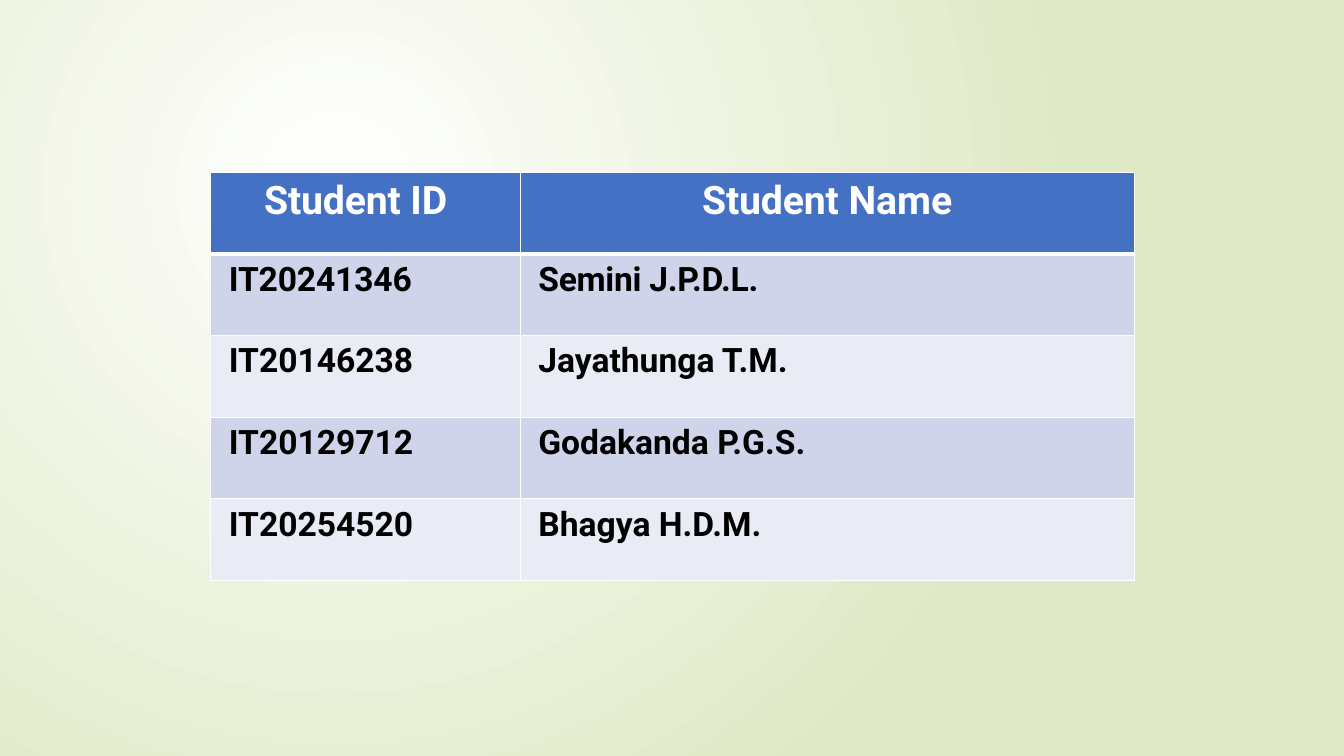
import dataclasses

import lxml.etree
import pptx
import pptx.dml.color
import pptx.enum.text
import pptx.oxml.ns
import pptx.util

COLORS = {
    "center": "FFFFFF",
    "edge": "DFE8C4",
    "border": "FFFFFF",
    "header": "4471C4",
    "odd": "CFD4EA",
    "even": "E9EBF5",
    "header_text": "FFFFFF",
    "body_text": "000000",
}
COLUMN_WIDTHS = (3.07, 6.09)
ROW_HEIGHT = 0.81
THIN, THICK = 1, 3


@dataclasses.dataclass(frozen=True)
class Run:
    text: str
    spacing: float = 0


@dataclasses.dataclass(frozen=True)
class Entry:
    runs: tuple[Run, ...]
    indent: float = 0.18
    centered: bool = False


@dataclasses.dataclass(frozen=True)
class Student:
    number: Run
    name: Run


HEADINGS = (
    Entry((Run("Student ", -0.1), Run("ID")), indent=0.53),
    Entry((Run("Student ", -0.1), Run("Name")), indent=0, centered=True),
)
STUDENTS = (
    Student(Run("IT20241346", -0.1), Run("Semini J.P.D.L.", -0.2)),
    Student(Run("IT20146238"), Run("Jayathunga T.M.")),
    Student(Run("IT20129712"), Run("Godakanda P.G.S.")),
    Student(Run("IT20254520"), Run("Bhagya H.D.M.")),
)


def rgb(name: str) -> pptx.dml.color.RGBColor:
    return pptx.dml.color.RGBColor.from_string(COLORS[name])


def paint_background(slide) -> None:
    fill = slide.background.fill
    fill.gradient()
    for stop, position, color in zip(fill.gradient_stops, (0, 1), ("center", "edge")):
        stop.position = position
        stop.color.rgb = rgb(color)
    gradient = slide.element.xpath(".//a:gradFill")[0]
    gradient.remove(gradient.find(pptx.oxml.ns.qn("a:lin")))
    circle = lxml.etree.SubElement(gradient, pptx.oxml.ns.qn("a:path"), path="circle")
    lxml.etree.SubElement(circle, pptx.oxml.ns.qn("a:fillToRect"),
                          l="50000", t="50000", r="100000", b="100000")


def draw_borders(cell, top: int, bottom: int) -> None:
    properties = cell._tc.get_or_add_tcPr()
    widths = {"lnL": THIN, "lnR": THIN, "lnT": top, "lnB": bottom}
    for position, (side, width) in enumerate(widths.items()):
        line = lxml.etree.Element(pptx.oxml.ns.qn(f"a:{side}"),
                                  w=str(pptx.util.Pt(width)))
        solid = lxml.etree.SubElement(line, pptx.oxml.ns.qn("a:solidFill"))
        lxml.etree.SubElement(solid, pptx.oxml.ns.qn("a:srgbClr"), val=COLORS["border"])
        properties.insert(position, line)


def write_entry(cell, entry: Entry, size: int, color: str) -> None:
    margins = {"margin_left": 0, "margin_top": 0.06, "margin_right": 0, "margin_bottom": 0}
    for margin, value in margins.items():
        setattr(cell, margin, pptx.util.Inches(value))
    paragraph = cell.text_frame.paragraphs[0]
    paragraph.space_before = pptx.util.Pt(4.5)
    if entry.centered:
        paragraph.alignment = pptx.enum.text.PP_ALIGN.CENTER
    paragraph._p.get_or_add_pPr().set("marL", str(pptx.util.Inches(entry.indent)))
    font_format = {"name": "Roboto", "size": pptx.util.Pt(size), "bold": True}
    for part in entry.runs:
        run = paragraph.add_run()
        run.text = part.text
        for attribute, value in font_format.items():
            setattr(run.font, attribute, value)
        run.font.color.rgb = rgb(color)
        run._r.get_or_add_rPr().set("spc", str(round(part.spacing * 100)))


def draw_roster(slide) -> None:
    rows = [HEADINGS] + [(Entry((student.number,)), Entry((student.name,)))
                         for student in STUDENTS]
    roster = slide.shapes.add_table(
        len(rows), len(COLUMN_WIDTHS), pptx.util.Inches(2.09), pptx.util.Inches(1.71),
        pptx.util.Inches(sum(COLUMN_WIDTHS)), pptx.util.Inches(ROW_HEIGHT * len(rows)),
    ).table
    for column, width in zip(roster.columns, COLUMN_WIDTHS):
        column.width = pptx.util.Inches(width)
    for row_index, entries in enumerate(rows):
        roster.rows[row_index].height = pptx.util.Inches(ROW_HEIGHT)
        is_header = row_index == 0
        band = "header" if is_header else "odd" if row_index % 2 else "even"
        size, color = (28, "header_text") if is_header else (24, "body_text")
        for column_index, entry in enumerate(entries):
            cell = roster.cell(row_index, column_index)
            cell.fill.solid()
            cell.fill.fore_color.rgb = rgb(band)
            draw_borders(cell, top=THICK if row_index == 1 else THIN,
                         bottom=THICK if is_header else THIN)
            write_entry(cell, entry, size, color)


def main() -> None:
    presentation = pptx.Presentation()
    presentation.slide_width = pptx.util.Inches(13.33)
    presentation.slide_height = pptx.util.Inches(7.5)
    slide = presentation.slides.add_slide(presentation.slide_layouts[6])
    paint_background(slide)
    draw_roster(slide)
    presentation.save("out.pptx")


if __name__ == "__main__":
    main()
